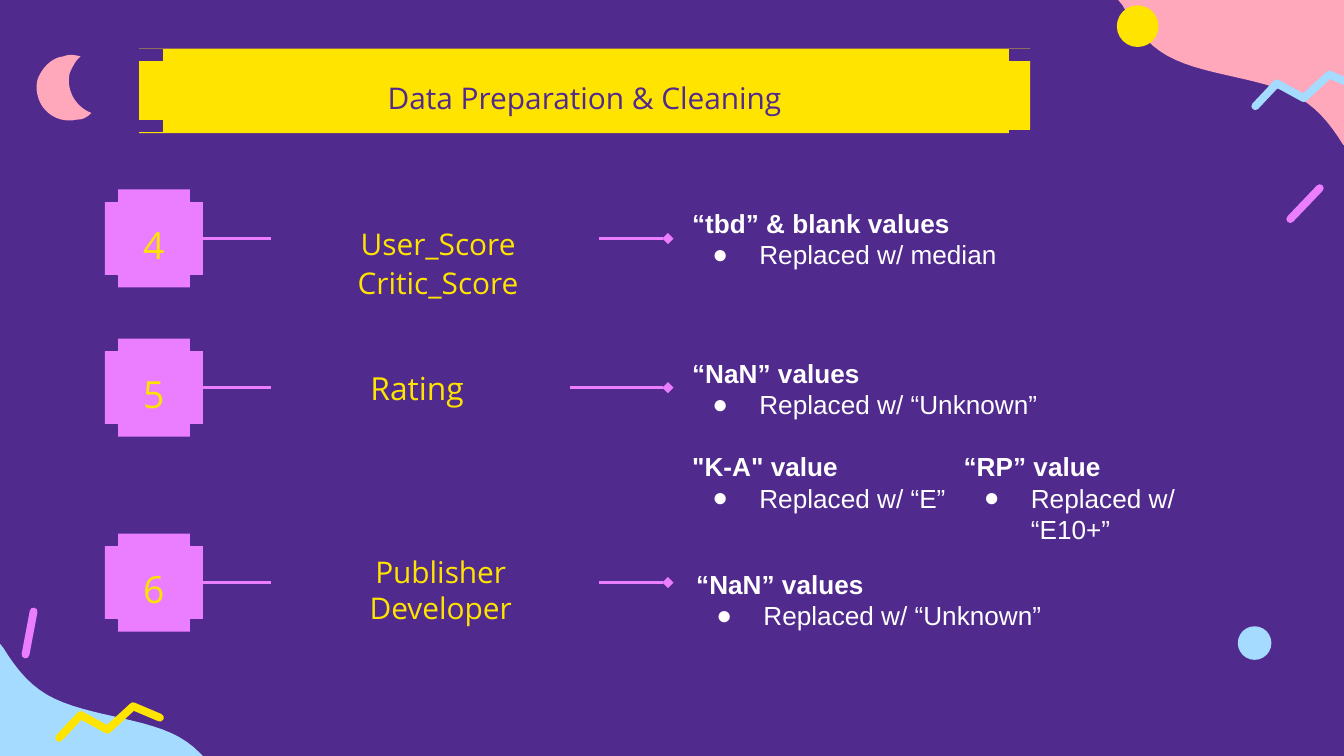
from itertools import product

from lxml.etree import SubElement
from pptx import Presentation
from pptx.dml.color import RGBColor
from pptx.enum.shapes import MSO_CONNECTOR, MSO_SHAPE
from pptx.enum.text import MSO_ANCHOR, MSO_AUTO_SIZE, PP_ALIGN
from pptx.oxml.ns import qn
from pptx.util import Inches, Pt

PURPLE = RGBColor(0x51, 0x2A, 0x8E)
YELLOW = RGBColor(0xFF, 0xE4, 0x00)
PINK = RGBColor(0xFF, 0xA7, 0xBB)
BLUE = RGBColor(0xA5, 0xDB, 0xFF)
VIOLET = RGBColor(0xEB, 0x7D, 0xFF)
WHITE = RGBColor(0xFF, 0xFF, 0xFF)

# The slide is a grid of square cells, all lengths below count cells
COLUMNS, ROWS = 100, 56.25
SLIDE_W = Inches(10)
CELL = SLIDE_W / COLUMNS
TILE, NOTCH = 7.3, 0.9
TILE_LEFT = 7.8

# Number, top of the tile, column where its arrow starts
STEPS = [("4", 14.1, 44.6), ("5", 25.2, 42.4), ("6", 39.7, 44.6)]
# Field names: box, size, lines
FIELDS = [
    ((15.5, 16.1, 34.2, 4.1), 16, ["User_Score"]),
    ((15.5, 19, 34.2, 4.1), 16, ["Critic_Score"]),
    ((20.2, 25.2, 22.3, 7.3), 17, ["Rating "]),
    ((15.5, 41.8, 34.6, 4.1), 16, ["Publisher", "Developer"]),
]
# Cleaning rules: box, pairs of heading and replacement
RULES = [
    ((50.5, 15.3, 34.6, 4.9), [("“tbd” & blank values", "Replaced w/ median")]),
    ((50.5, 26.3, 35.3, 12.2), [("“NaN” values", "Replaced w/ “Unknown”"),
                                ('"K-A" value', "Replaced w/ “E”")]),
    ((70.7, 32.5, 22.8, 9.1), [("“RP” value", "Replaced w/ “E10+”")]),
    ((50.8, 41.1, 34.6, 7), [("“NaN” values", "Replaced w/ “Unknown”")]),
]
WAVE = [(103.1, 15.9), (101.5, 14.4), (100.1, 9.7), (97.3, 7.7), (94.5, 5.6),
        (89.1, 5.8), (86.3, 3.8), (83.5, 1.9), (82.8, -2.3), (80.5, -4)]
MOON = [(2.8, 5.9), (3.1, 5.1), (3.8, 4.3), (4.7, 4.2), (5.2, 4), (5.6, 4.1), (6, 4.2),
        (5.6, 4.5), (5.4, 5), (5.2, 5.4), (5.1, 5.8), (5.1, 6.2), (5.2, 6.6),
        (5.4, 7.4), (6, 8.1), (6.8, 8.4), (6.5, 8.7), (6.2, 8.9), (5.7, 8.9),
        (4.4, 9.2), (3.1, 8.4), (2.8, 7.1), (2.7, 6.7), (2.7, 6.3), (2.8, 5.9)]
ZIGZAG = [(93.4, 7.9), (95, 6.2), (97, 7.3), (98.9, 5.55), (100.9, 6.4)]


def cells(*counts):
    return [round(count * CELL) for count in counts]


def bezier(nodes, steps=16):
    """Points along a chain of cubic curves."""
    points = [nodes[0]]
    for start in range(0, len(nodes) - 1, 3):
        for step in range(1, steps + 1):
            t = step / steps
            weights = ((1 - t) ** 3, 3 * t * (1 - t) ** 2, 3 * t * t * (1 - t), t ** 3)
            points.append(tuple(sum(w * node[axis] for w, node in zip(weights, nodes[start:start + 4]))
                                for axis in (0, 1)))
    return points


def paint(shape, fill, outline=None):
    shape.shadow.inherit = False
    shape.fill.solid()
    shape.fill.fore_color.rgb = fill
    if outline is None:
        shape.line.fill.background()
    else:
        shape.line.color.rgb = outline
        shape.line.width = Pt(0.75)


def add_block(slide, kind, box, fill, outline=None):
    paint(slide.shapes.add_shape(kind, *cells(*box)), fill, outline)


def add_outline(slide, points, closed=True):
    builder = slide.shapes.build_freeform(*cells(*points[0]))
    builder.add_line_segments([tuple(cells(*point)) for point in points[1:]], close=closed)
    return builder.convert_to_shape()


def add_wave(slide, curve, edge, color):
    """Fill between the visible part of a curve and a slide corner."""
    visible = [(x, y) for x, y in curve if 0 <= x <= COLUMNS and 0 <= y <= ROWS]
    paint(add_outline(slide, visible + edge), color)


def round_stroke(shape, color):
    shape.line.color.rgb = color
    shape.line.width = Pt(4.2)
    stroke = shape.line._get_or_add_ln()
    stroke.set("cap", "rnd")
    SubElement(stroke, qn("a:round"))


def add_line(slide, start, end):
    line = slide.shapes.add_connector(MSO_CONNECTOR.STRAIGHT, *cells(*start, *end))
    line.line.color.rgb = VIOLET
    line.line.width = Pt(1.5)
    SubElement(line._element.spPr, qn("a:effectLst"))
    return line


def set_frame(frame, top=1):
    frame.word_wrap = True
    frame.auto_size = MSO_AUTO_SIZE.NONE
    frame.vertical_anchor = MSO_ANCHOR.MIDDLE
    frame.margin_left, frame.margin_right, frame.margin_bottom, frame.margin_top = cells(1, 1, 1, top)


def set_paragraph(paragraph, size, font, color, bold=False, align=PP_ALIGN.CENTER):
    paragraph.alignment = align
    paragraph.space_before = Pt(0)
    paragraph.line_spacing = 1.0
    style = paragraph.font
    style.size, style.name, style.bold = Pt(size), font, bold
    style.color.rgb = color


def add_label(slide, box, size, lines):
    frame = slide.shapes.add_textbox(*cells(*box)).text_frame
    set_frame(frame)
    frame.text = "\n".join(lines)
    for paragraph in frame.paragraphs:
        set_paragraph(paragraph, size, "Open Sans", YELLOW)


def set_bullet(paragraph, mark):
    properties = paragraph._p.get_or_add_pPr()
    indent, hanging = cells(5, -3.5) if mark else (0, 0)
    properties.set("marL", str(indent))
    properties.set("indent", str(hanging))
    bullet = properties.makeelement(qn("a:buChar"), {"char": mark}) if mark \
        else properties.makeelement(qn("a:buNone"), {})
    properties.find(qn("a:defRPr")).addprevious(bullet)


def place(placeholder, box):
    placeholder.left, placeholder.top, placeholder.width, placeholder.height = cells(*box)


def fill_rule(body, box, pairs):
    place(body, box)
    frame = body.text_frame
    set_frame(frame)
    frame.text = "\n".join(line for pair in pairs for line in pair)
    for index, paragraph in enumerate(frame.paragraphs):
        heading = index % 2 == 0
        set_paragraph(paragraph, 14, "Arial", WHITE, heading, PP_ALIGN.LEFT)
        set_bullet(paragraph, None if heading else "●")
        if heading and index:
            paragraph.space_before = Pt(16.5)


def add_decoration(slide):
    # Corner waves, the lower one is the upper one turned around
    wave = bezier(WAVE)
    add_wave(slide, wave, [(83.2, 0), (COLUMNS, 0), (COLUMNS, 10.8)], PINK)
    add_wave(slide, [(100.2 - x, 59 - y) for x, y in wave],
             [(15.1, ROWS), (0, ROWS), (0, 47.9)], BLUE)
    paint(add_outline(slide, bezier(MOON)), PINK)
    for box, color in (((83.1, 0.4, 3.1, 3.1), YELLOW), ((92.1, 46.6, 2.5, 2.5), BLUE)):
        add_block(slide, MSO_SHAPE.OVAL, box, color)
    # Zigzags and sticks
    for dx, dy, color in ((0, 0, BLUE), (-89, 47, YELLOW)):
        zigzag = add_outline(slide, [(x + dx, y + dy) for x, y in ZIGZAG], closed=False)
        zigzag.shadow.inherit = False
        zigzag.fill.background()
        round_stroke(zigzag, color)
    for start, end in (((1.9, 48.7), (2.5, 45.5)), ((96, 16.3), (98.2, 14))):
        round_stroke(add_line(slide, start, end), VIOLET)


def add_title(slide):
    title = slide.shapes.title
    place(title, (10.35, 3.62, 66.3, 6.3))
    paint(title, YELLOW)
    set_frame(title.text_frame, top=2)
    title.text_frame.text = "Data Preparation & Cleaning"
    set_paragraph(title.text_frame.paragraphs[0], 16, "Open Sans", PURPLE)
    for left, top in ((10.3, 3.7), (10.3, 8.95), (75.1, 9.7), (75.1, 3.7)):
        add_block(slide, MSO_SHAPE.RECTANGLE, (left, top, 1.8, 0.8), PURPLE, PURPLE)


def add_step(slide, number, top, arrow_start):
    add_block(slide, MSO_SHAPE.RECTANGLE, (TILE_LEFT, top, TILE, TILE), VIOLET)
    for dx, dy in product((0, TILE - NOTCH), repeat=2):
        add_block(slide, MSO_SHAPE.RECTANGLE, (TILE_LEFT + dx, top + dy, NOTCH, NOTCH), PURPLE, PURPLE)
    add_label(slide, (8.9, top + 2.05, 5.1, 4.1), 20, [number])
    middle = top + TILE / 2
    add_line(slide, (TILE_LEFT + TILE, middle), (20.2, middle))
    arrow = add_line(slide, (arrow_start, middle), (49.7, middle))
    SubElement(arrow.line._get_or_add_ln(), qn("a:tailEnd"), type="diamond")


def main():
    deck = Presentation()
    deck.slide_width, deck.slide_height = SLIDE_W, round(ROWS * CELL)
    slide = deck.slides.add_slide(deck.slide_layouts.get_by_name("Comparison"))
    slide.background.fill.solid()
    slide.background.fill.fore_color.rgb = PURPLE
    add_decoration(slide)
    add_title(slide)
    for step in STEPS:
        add_step(slide, *step)
    for field in FIELDS:
        add_label(slide, *field)
    bodies = list(slide.placeholders)[1:]
    for body, rule in zip(bodies, RULES):
        fill_rule(body, *rule)
    deck.save("out.pptx")


main()
